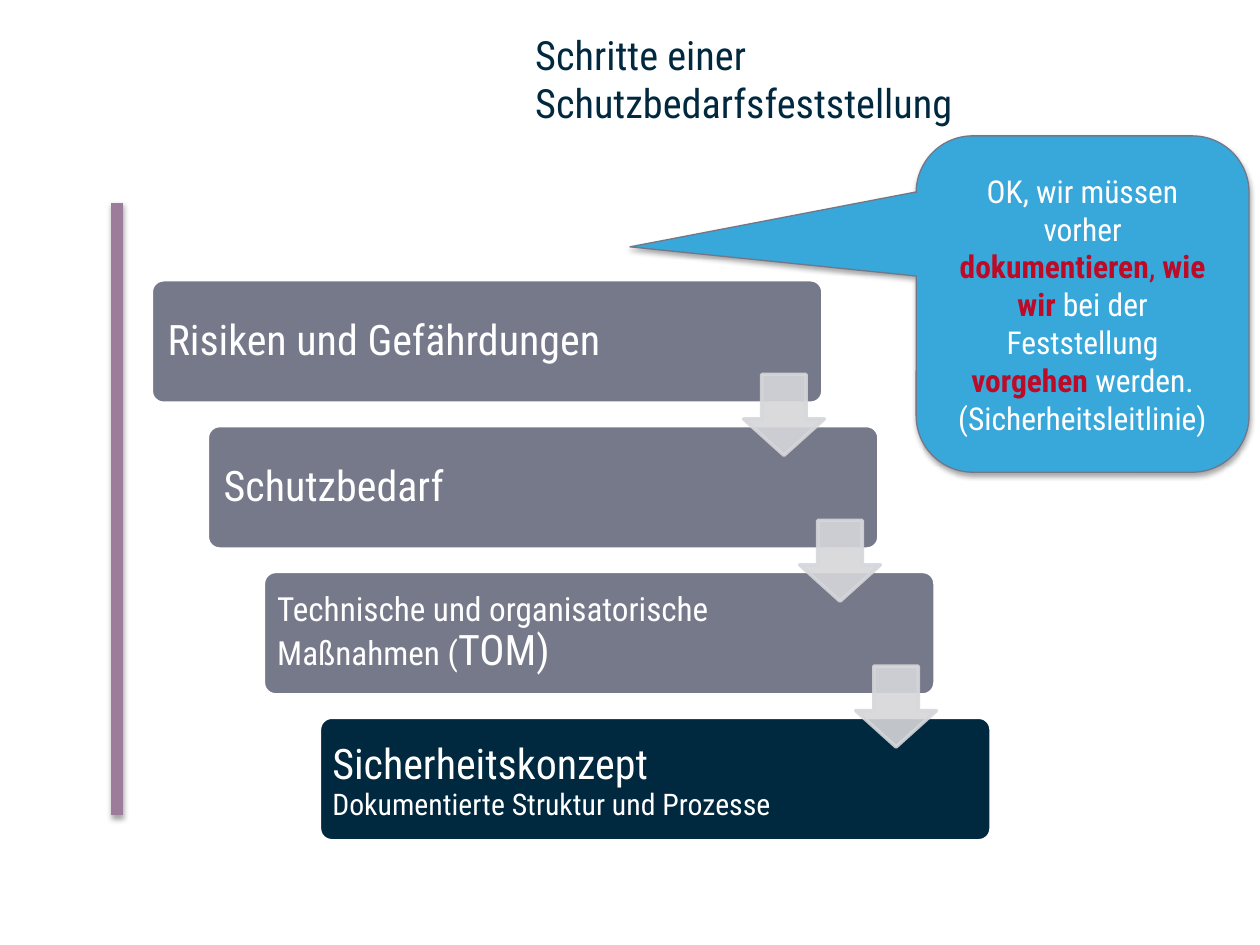
from dataclasses import dataclass

from lxml.etree import SubElement
from pptx import Presentation
from pptx.dml.color import RGBColor
from pptx.enum.shapes import MSO_CONNECTOR, MSO_SHAPE
from pptx.enum.text import MSO_ANCHOR, PP_ALIGN
from pptx.oxml.ns import qn
from pptx.util import Cm, Pt

FONT = "Roboto Condensed"
COLORS = {
    "navy": "00283F", "gray": "76798A", "pale": "D6D7DA", "blue": "38A8DB",
    "edge": "737687", "red": "BD0A26", "mauve": "9B7C9B", "white": "FFFFFF",
    "black": "000000",
}


@dataclass
class Piece:
    text: str
    size: float
    color: str = "white"
    bold: bool = False


@dataclass
class Step:
    label: list[Piece]
    inset: float
    fill: str = "gray"


STEPS = [
    Step([Piece("Risiken und Gefährdungen", 24)], 0.25),
    Step([Piece("Schutzbedarf", 24)], 0.25),
    Step([Piece("Technische und organisatorische Maßnahmen (", 19),
          Piece("TOM)", 24)], 0.2),
    Step([Piece("Sicherheitskonzept", 24), Piece(" \n", 28),
          Piece("Dokumentierte Struktur und Prozesse", 17)], 0.18, "navy"),
]
NOTE = [
    [Piece("OK, wir müssen vorher ", 18),
     Piece("dokumentieren", 18, "red", True),
     Piece(", ", 18, "red"),
     Piece("wie wir", 18, "red", True),
     Piece(" bei der Feststellung ", 18),
     Piece("vorgehen ", 18, "red", True),
     Piece("werden.", 18)],
    [Piece("(Sicherheitsleitlinie)", 18)],
]
STEP_X, STEP_Y = 1.13, 2.94


def rgb(name: str) -> RGBColor:
    return RGBColor.from_string(COLORS[name])


def set_alpha(fill, percent: int) -> None:
    """Make a solid colour element partly transparent."""
    color = fill.find(".//" + qn("a:srgbClr"))
    SubElement(color, qn("a:alpha"), val=str(percent * 1000))


def add_shadow(shape) -> None:
    """Give the shape a soft shadow straight below it."""
    effects = SubElement(shape._element.spPr, qn("a:effectLst"))
    outer = SubElement(effects, qn("a:outerShdw"), blurRad="40000",
                       dist="23000", dir="5400000", rotWithShape="0")
    color = SubElement(outer, qn("a:srgbClr"), val=COLORS["black"])
    SubElement(color, qn("a:alpha"), val="35000")


def add_pieces(para, pieces: list[Piece]) -> None:
    """Add one run per piece, and a line break where a piece ends in one."""
    for piece in pieces:
        run = para.add_run()
        run.text = piece.text.rstrip("\n")
        font = run.font
        font.name, font.size, font.bold = FONT, Pt(piece.size), piece.bold
        font.color.rgb = rgb(piece.color)
        if piece.text.endswith("\n"):
            para.add_line_break()


def add_text(slide, box: tuple, pieces: list[Piece], inset=None,
             anchor=MSO_ANCHOR.TOP, spacing: float = 1.0) -> None:
    frame = slide.shapes.add_textbox(*map(Cm, box)).text_frame
    frame.word_wrap = True
    frame.vertical_anchor = anchor
    if inset is not None:
        frame.margin_left = frame.margin_right = Cm(inset)
        frame.margin_top = frame.margin_bottom = Cm(inset)
    para = frame.paragraphs[0]
    para.line_spacing = spacing
    add_pieces(para, pieces)


def add_form(slide, kind, box: tuple, adjust: list, fill: str,
             line: str, width: float):
    shape = slide.shapes.add_shape(kind, *map(Cm, box))
    for i, value in enumerate(adjust):
        shape.adjustments[i] = value
    shape.fill.solid()
    shape.fill.fore_color.rgb = rgb(fill)
    shape.line.color.rgb = rgb(line)
    shape.line.width = Pt(width)
    return shape


def add_step(slide, index: int, step: Step) -> None:
    left, top = 3.05 + index * STEP_X, 5.64 + index * STEP_Y
    card = add_form(slide, MSO_SHAPE.ROUNDED_RECTANGLE,
                    (left, top, 13.54, 2.49), [0.1], step.fill, "white", 2)
    card.shadow.inherit = False
    add_text(slide, (left + 0.08, top + 0.08, 10.67, 2.34), step.label,
             step.inset, MSO_ANCHOR.MIDDLE, 0.9)


def add_arrow(slide, index: int) -> None:
    box = (14.99 + index * STEP_X, 7.55 + index * STEP_Y, 1.63, 1.63)
    arrow = add_form(slide, MSO_SHAPE.DOWN_ARROW, box, [0.55, 0.45],
                     "pale", "pale", 2)
    arrow.shadow.inherit = False
    props = arrow._element.spPr
    for tag in ("a:solidFill", "a:ln"):
        set_alpha(props.find(qn(tag)), 90)


def add_rule(slide) -> None:
    rule = slide.shapes.add_connector(
        MSO_CONNECTOR.STRAIGHT, Cm(2.36), Cm(4.09), Cm(2.36), Cm(16.43))
    rule.line.color.rgb = rgb("mauve")
    rule.line.width = Pt(6.5)
    add_shadow(rule)


def add_note(slide) -> None:
    note = add_form(slide, MSO_SHAPE.ROUNDED_RECTANGULAR_CALLOUT,
                    (18.47, 2.74, 6.71, 6.78), [-1.36, -0.17, 0.17],
                    "blue", "edge", 0.75)
    add_shadow(note)
    frame = note.text_frame
    frame.word_wrap = True
    frame.vertical_anchor = MSO_ANCHOR.MIDDLE
    for i, pieces in enumerate(NOTE):
        para = frame.add_paragraph() if i else frame.paragraphs[0]
        para.alignment = PP_ALIGN.CENTER
        add_pieces(para, pieces)


def main() -> None:
    deck = Presentation()
    deck.slide_width, deck.slide_height = Cm(25.4), Cm(19.05)
    slide = deck.slides.add_slide(deck.slide_layouts[6])
    add_rule(slide)
    add_text(slide, (10.54, 0.48, 12.32, 2.77),
             [Piece("Schritte einer Schutzbedarfsfeststellung", 23, "navy")])
    for i, step in enumerate(STEPS):
        add_step(slide, i, step)
    for i in range(len(STEPS) - 1):
        add_arrow(slide, i)
    add_note(slide)
    deck.save("out.pptx")


if __name__ == "__main__":
    main()
